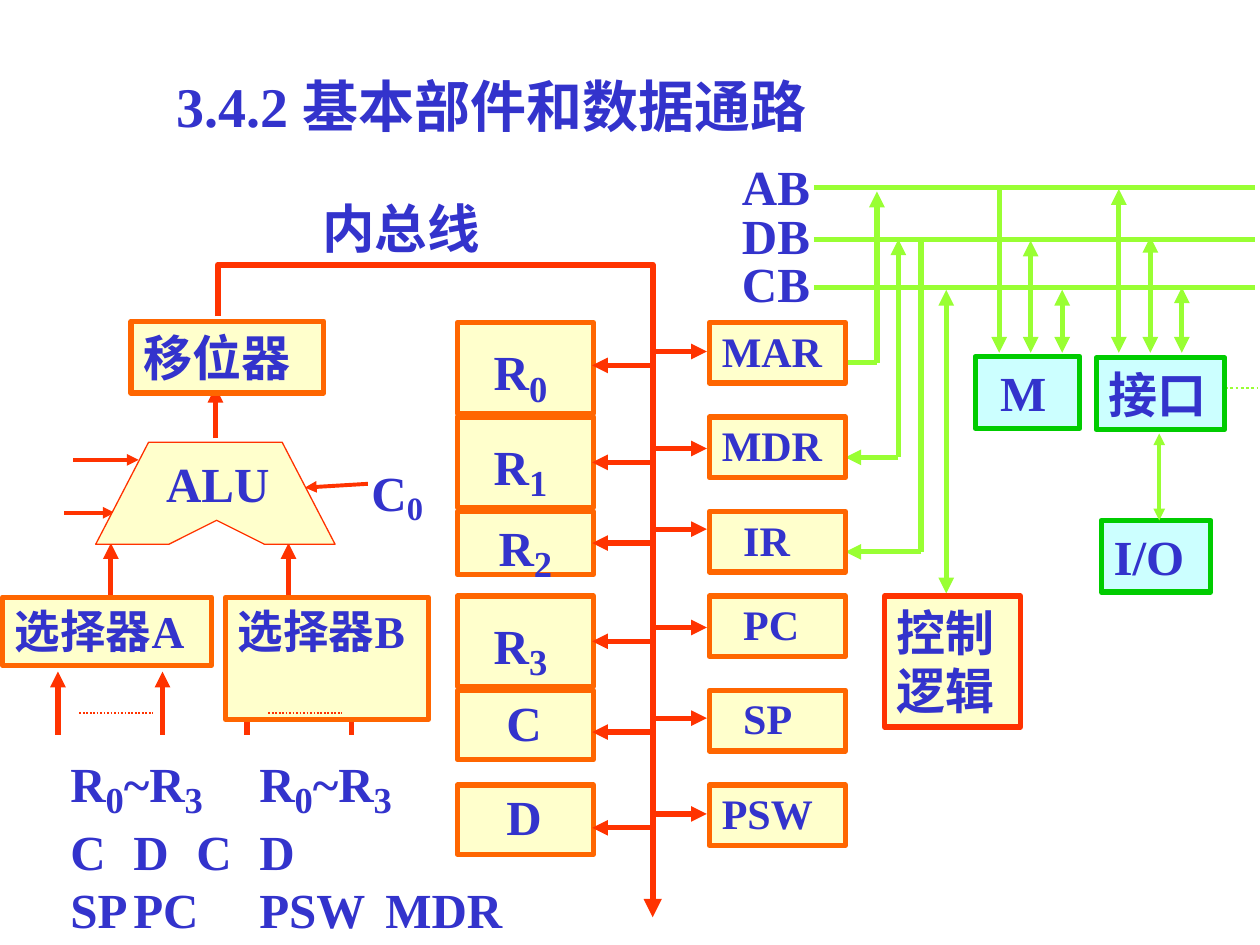
from dataclasses import dataclass
from typing import NamedTuple

from lxml import etree
from pptx import Presentation
from pptx.dml.color import RGBColor
from pptx.enum.dml import MSO_LINE
from pptx.enum.shapes import MSO_CONNECTOR, MSO_SHAPE
from pptx.enum.text import MSO_ANCHOR, PP_ALIGN
from pptx.oxml.ns import qn
from pptx.util import Cm, Pt

RECTANGLE = MSO_SHAPE.RECTANGLE
STRAIGHT = MSO_CONNECTOR.STRAIGHT
DOTTED = MSO_LINE.ROUND_DOT
MIDDLE, TOP = MSO_ANCHOR.MIDDLE, MSO_ANCHOR.TOP
CENTER, LEFT = PP_ALIGN.CENTER, PP_ALIGN.LEFT
FONT = "Times New Roman"
CM_PER_INCH = 2.54
COLORS = {
    "text": "3333CC", "red": "FF3300", "orange": "FF6600", "lime": "99FF33",
    "green": "00CC00", "cream": "FFFFCC", "aqua": "CCFFFF",
}


class Span(NamedTuple):
    text: str
    size: float = 28
    baseline: int = 0


class Line(NamedTuple):
    spans: tuple[Span, ...]
    tabs: tuple[float, ...] = ()


@dataclass
class Box:
    lines: tuple[Line, ...]
    left: float
    top: float
    width: float
    height: float
    fill: str = ""
    border: str = ""
    indent: float = 0
    spacing: float = 1
    centered: bool = False


@dataclass
class Wire:
    start: tuple[float, float]
    end: tuple[float, float]
    color: str
    width: float = 3
    head: bool = False
    tail: bool = False
    dotted: bool = False


def length(inches: float) -> Cm:
    return Cm(inches * CM_PER_INCH)


def color(name: str) -> RGBColor:
    return RGBColor.from_string(COLORS[name])


def plain(text: str, size: float = 28) -> tuple[Line, ...]:
    return (Line((Span(text, size),)),)


def indexed(name: str, index: str, size: float = 36, baseline: int = -18000) -> tuple[Span, ...]:
    return Span(name), Span(index, size, baseline)


def add_arrowheads(shape, head: bool, tail: bool) -> None:
    outline = shape.line._get_or_add_ln()
    for tag, wanted in (("a:headEnd", head), ("a:tailEnd", tail)):
        if wanted:
            etree.SubElement(outline, qn(tag), type="triangle")


def draw_wire(page, wire: Wire) -> None:
    points = [length(value) for value in (*wire.start, *wire.end)]
    connector = page.shapes.add_connector(STRAIGHT, *points)
    connector.line.color.rgb = color(wire.color)
    connector.line.width = Pt(wire.width)
    if wire.dotted:
        connector.line.dash_style = DOTTED
    add_arrowheads(connector, wire.head, wire.tail)
    etree.SubElement(connector._element.spPr, qn("a:effectLst"))


def draw_box(page, box: Box) -> None:
    place = [length(value) for value in (box.left, box.top, box.width, box.height)]
    if box.fill:
        shape = page.shapes.add_shape(RECTANGLE, *place)
        shape.shadow.inherit = False
        shape.fill.solid()
        shape.fill.fore_color.rgb = color(box.fill)
        shape.line.color.rgb = color(box.border)
        shape.line.width = Pt(3)
    else:
        shape = page.shapes.add_textbox(*place)
    frame = shape.text_frame
    frame.word_wrap = not box.centered
    frame.vertical_anchor = MIDDLE if box.centered else TOP
    for number, line in enumerate(box.lines):
        para = frame.add_paragraph() if number else frame.paragraphs[0]
        para.alignment = CENTER if box.centered else LEFT
        para.line_spacing = box.spacing
        properties = para._p.get_or_add_pPr()
        properties.set("marL", str(length(box.indent)))
        properties.set("indent", "0")
        if line.tabs:
            stops = etree.SubElement(properties, qn("a:tabLst"))
            for stop in line.tabs:
                etree.SubElement(stops, qn("a:tab"), pos=str(length(stop)), algn="l")
        for span in line.spans:
            run = para.add_run()
            run.text = span.text
            run.font.name = FONT
            run.font.size = Pt(span.size)
            run.font.bold = True
            run.font.color.rgb = color("text")
            if span.baseline:
                run.font._element.set("baseline", str(span.baseline))


def draw_outline(page, points: list[tuple[float, float]], width: float, fill: str = "") -> None:
    start, *rest = [(length(x), length(y)) for x, y in points]
    builder = page.shapes.build_freeform(*start)
    builder.add_line_segments(rest, close=bool(fill))
    shape = builder.convert_to_shape()
    shape.shadow.inherit = False
    shape.line.color.rgb = color("red")
    shape.line.width = Pt(width)
    if fill:
        shape.fill.solid()
        shape.fill.fore_color.rgb = color(fill)
    else:
        shape.fill.background()
        add_arrowheads(shape, False, True)


def main() -> None:
    deck = Presentation()
    deck.slide_width, deck.slide_height = length(10), length(7.5)
    page = deck.slides.add_slide(deck.slide_layouts[6])

    title = Line((Span("3.4.2\t基本部件和数据通路", 32),), (1.22,))
    draw_box(page, Box((title,), 1.3, 0.52, 7.32, 0.64))
    draw_box(page, Box(plain("内总线", 30), 2.46, 1.51, 1.75, 0.6))

    rises = [(0.88, 4.72, 4.31), (1.71, 3.48, 3.07), (2.29, 4.72, 4.31)]
    rises += [(x, 5.83, 5.33) for x in (0.46, 1.29, 1.96, 2.79)]
    for x, bottom, top in rises:
        draw_wire(page, Wire((x, bottom), (x, top), "red", tail=True))

    registers = indexed("R", "0") + indexed("~R", "3")
    inputs = (
        Line((Span("\t"), *registers, Span("\t"), *registers), (0.19, 1.64)),
        Line((Span("\tC\tD\tC\tD"),), (0.19, 0.96, 1.73, 2.49)),
        Line((Span("\tSP\tPC\tPSW\tMDR"),), (0.1, 0.72, 1.43, 2.46)),
    )
    draw_box(page, Box(inputs, -0.04, 5.82, 4.22, 1.68))
    for text, size, left, top, width, height in (
        ("选择器A", 26, 0.02, 4.74, 1.66, 0.54),
        ("选择器B", 26, 1.79, 4.74, 1.61, 0.97),
        ("移位器", 28, 1.04, 2.55, 1.53, 0.57),
    ):
        draw_box(page, Box(plain(text, size), left, top, width, height, "cream", "orange"))
    for x in (0.63, 2.13):
        draw_wire(page, Wire((x, 5.66), (x + 0.58, 5.66), "red", 1, dotted=True))

    for name, top, y in (("AB", 1.19, 1.49), ("DB", 1.58, 1.9), ("CB", 1.96, 2.28)):
        draw_box(page, Box(plain(name), 5.79, top, 0.92, 0.57))
        draw_wire(page, Wire((6.46, y), (9.96, y), "lime"))
    for x, top, bottom, head, tail in (
        (7.93, 1.5, 2.8, False, True), (8.18, 1.91, 2.8, True, True),
        (8.43, 2.3, 2.8, True, True), (8.88, 1.5, 2.8, True, True),
        (9.13, 1.88, 2.8, True, True), (9.38, 2.28, 2.8, True, True),
        (7.51, 2.3, 4.71, True, True), (6.96, 1.52, 2.88, True, False),
        (7.13, 1.9, 3.63, True, False), (7.31, 1.91, 4.38, False, False),
    ):
        draw_wire(page, Wire((x, top), (x, bottom), "lime", head=head, tail=tail))
    for x, y, tail in ((6.96, 2.88, False), (7.13, 3.63, True), (7.31, 4.38, True)):
        draw_wire(page, Wire((x, y), (6.71, y), "lime", tail=tail))

    row_tops = (2.56, 3.31, 4.06, 4.73, 5.48, 6.23)
    arrow_rows = (2.9, 3.67, 4.31, 5.09, 5.81, 6.57)
    general = [((Line(indexed("R", str(number))),), 0.19, 0.72) for number in range(4)]
    general[2] = (general[2][0], 0, 0.5)
    general += [(plain(name), 0.29, 0.55) for name in "CD"]
    special = (("MAR", 0), ("MDR", 0), ("IR", 0.17), ("PC", 0.17), ("SP", 0.17), ("PSW", 0))
    for top, (lines, indent, height), (name, shift) in zip(row_tops, general, special):
        draw_box(page, Box(lines, 3.63, top, 1.08, height, "cream", "orange",
                           indent, 0.95, centered=not indent))
        draw_box(page, Box(plain(name, 24), 5.63, top, 1.08, 0.48, "cream", "orange", shift, 0.95))
    draw_outline(page, [(1.73, 2.51), (1.73, 2.1), (5.18, 2.1), (5.18, 7.28)], 3.5)
    for y in arrow_rows:
        draw_wire(page, Wire((5.2, y), (4.7, y), "red", tail=True))
        draw_wire(page, Wire((5.18, y - 0.11), (5.61, y - 0.11), "red", tail=True))

    for start, end in (((0.58, 3.65), (1.1, 3.65)), ((0.51, 4.07), (0.91, 4.07)),
                       ((2.92, 3.84), (2.42, 3.87))):
        draw_wire(page, Wire(start, end, "red", 2.25, tail=True))
    draw_outline(page, [(1.18, 3.51), (0.76, 4.32), (1.34, 4.32), (1.72, 4.13),
                        (2.1, 4.32), (2.66, 4.32), (2.24, 3.51)], 0.75, "cream")
    draw_box(page, Box(plain("ALU"), 1.22, 3.55, 1.32, 0.57))
    draw_box(page, Box((Line(indexed("C", "0", 32, -16000)),), 2.85, 3.57, 0.86, 0.67))

    draw_wire(page, Wire((9.64, 3.08), (9.98, 3.08), "lime", 1.5, dotted=True))
    draw_box(page, Box(plain("控制逻辑"), 7.02, 4.73, 1.08, 1.04, "cream", "red"))
    for text, left, top, width, indent in (
        ("M", 7.74, 2.83, 0.83, 0.1), ("接口", 8.7, 2.84, 1.02, 0), ("I/O", 8.74, 4.13, 0.87, 0),
    ):
        draw_box(page, Box(plain(text), left, top, width, 0.57, "aqua", "green", indent))
    draw_wire(page, Wire((9.2, 3.44), (9.2, 4.13), "lime", 2.25, head=True, tail=True))

    deck.save("out.pptx")


if __name__ == "__main__":
    main()
